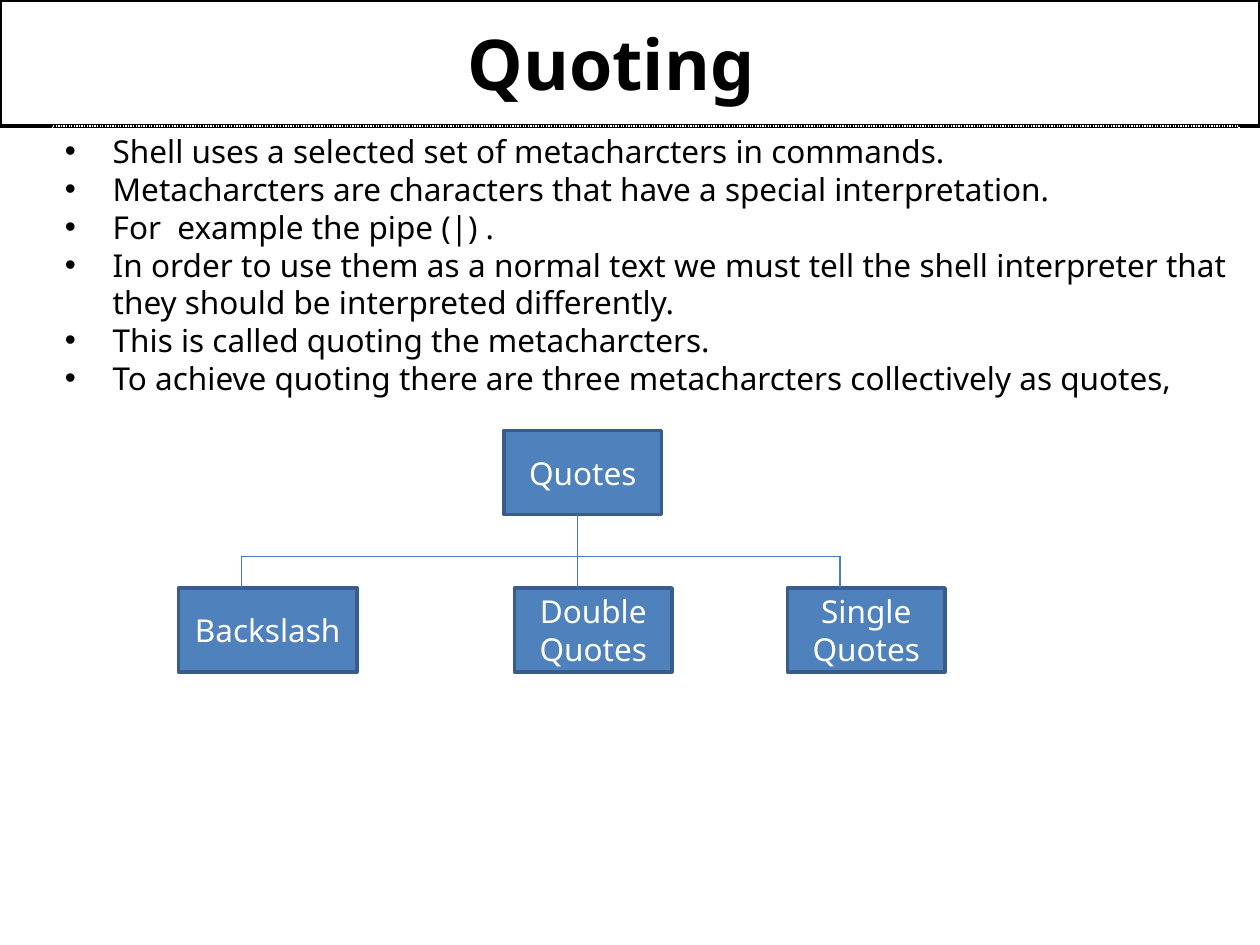
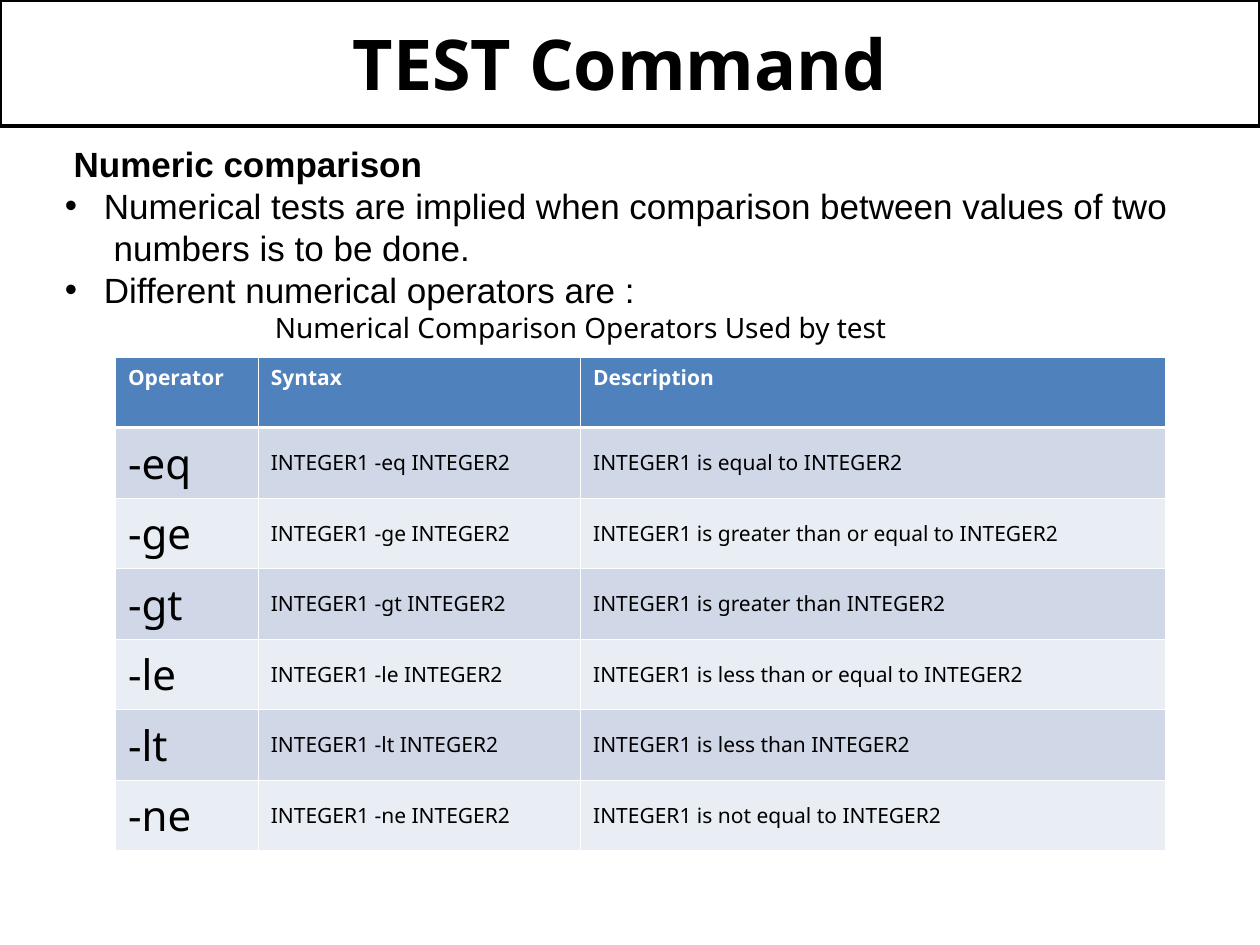
from lxml.etree import SubElement as Sub
from pptx import Presentation
from pptx.dml.color import RGBColor
from pptx.enum.dml import MSO_LINE as Dash
from pptx.enum.shapes import MSO_CONNECTOR as Conn, MSO_SHAPE as Shape
from pptx.enum.text import MSO_ANCHOR as Anchor, PP_ALIGN as Align
from pptx.oxml.ns import qn
from pptx.util import Inches, Pt

BLACK = RGBColor(0x00, 0x00, 0x00)
WHITE = RGBColor(0xFF, 0xFF, 0xFF)
BLUE = RGBColor(0x4F, 0x81, 0xBD)
EDGE = RGBColor(0x38, 0x5D, 0x8A)
LINK = RGBColor(0x4A, 0x7E, 0xBB)
DARK = RGBColor(0xD0, 0xD8, 0xE8)
PALE = RGBColor(0xE9, 0xED, 0xF4)
SANS, ARIAL = "Noto Sans", "Arial"
WIDE, HIGH = 120, 90

QUOTING = [
    "Shell uses a selected set of metacharcters in commands.",
    "Metacharcters are characters that have a special interpretation.",
    "For  example the pipe (|) .",
    "In order to use them as a normal text we must tell the shell interpreter "
    "that they should be interpreted differently.",
    "This is called quoting the metacharcters.",
    "To achieve quoting there are three metacharcters collectively as quotes,",
]
TESTS = [
    "Numerical tests are implied when comparison between values of two\v numbers is to be done.",
    "Different numerical operators are :",
]
NODES = [
    ("Quotes", 48, 41, 15),
    ("Double Quotes", 49, 56, 15),
    ("Backslash", 17, 56, 17),
    ("Single Quotes", 75, 56, 15),
]
LINKS = [
    (55, 49, 55, 56),
    (23, 56, 23, 53),
    (23, 53, 55, 53),
    (55, 53, 80, 53),
    (80, 53, 80, 56),
]
HEADS = ("Operator", "Syntax", "Description")
COLS = (13.6, 30.7, 55.7)
TERMS = {
    "-eq": "equal to",
    "-ge": "greater than or equal to",
    "-gt": "greater than",
    "-le": "less than or equal to",
    "-lt": "less than",
    "-ne": "not equal to",
}


def unit(num):
    """Turn grid steps, twelve to the inch, into a length."""
    return Inches(num / 12)


def style(para, size, color=BLACK, face=SANS, bold=False):
    """Format every run of a paragraph."""
    for run in para.runs:
        font = run.font
        font.size, font.name, font.bold = Pt(size), face, bold
        font.color.rgb = color


def indent(para, left, hang=0):
    """Set the left margin in inches, with a bullet if it hangs."""
    props = para._p.get_or_add_pPr()
    props.set("marL", str(Inches(left)))
    props.set("indent", str(-Inches(hang)))
    if hang:
        tint = Sub(Sub(props, qn("a:buClr")), qn("a:srgbClr"))
        tint.set("val", str(BLACK))
        Sub(props, qn("a:buFont")).set("typeface", ARIAL)
        Sub(props, qn("a:buChar")).set("char", "•")


def block(slide, box, fill, edge, width):
    """Draw a rectangle on the grid and return it."""
    shape = slide.shapes.add_shape(Shape.RECTANGLE, *map(unit, box))
    shape.shadow.inherit = False
    if fill is None:
        shape.fill.background()
    else:
        shape.fill.solid()
        shape.fill.fore_color.rgb = fill
    shape.line.color.rgb = edge
    shape.line.width = Pt(width)
    shape.text_frame.word_wrap = True
    return shape


def title(slide, text, shift):
    """Draw the title band, its text moved left by a shift in inches."""
    frame = block(slide, (0, 0, WIDE, 12), WHITE, BLACK, 2).text_frame
    frame.margin_right = Inches(0.1 + 2 * shift)
    frame.vertical_anchor = Anchor.MIDDLE
    frame.text = text
    para = frame.paragraphs[0]
    para.alignment = Align.CENTER
    style(para, 40, bold=True)


def panel(slide, box, lines, size, face, hang, align, head=None):
    """Fill a dotted box with an optional heading and bullets."""
    shape = block(slide, box, None, WHITE, 0.75)
    shape.line.dash_style = Dash.ROUND_DOT
    frame = shape.text_frame
    frame.vertical_anchor = Anchor.TOP
    frame.text = "\n".join(([head] if head else []) + lines)
    for num, para in enumerate(frame.paragraphs):
        top = head and num == 0
        indent(para, *((0.07,) if top else (hang, hang)))
        para.alignment = align
        style(para, size, face=face, bold=bool(top))


def tree(slide, left, top):
    """Draw the tree of quote types from its top left corner."""
    for text, col, row, width in NODES:
        box = left + col - 17, top + row - 41, width, 8
        frame = block(slide, box, BLUE, EDGE, 2).text_frame
        frame.vertical_anchor = Anchor.MIDDLE
        frame.text = text
        para = frame.paragraphs[0]
        para.alignment = Align.CENTER
        style(para, 18, WHITE)
    for start, rise, end, fall in LINKS:
        ends = left + start - 17, top + rise - 41, left + end - 17, top + fall - 41
        line = slide.shapes.add_connector(Conn.STRAIGHT, *map(unit, ends))
        line.line.color.rgb = LINK
        line.line.width = Pt(0.75)
        Sub(line._element.spPr, qn("a:effectLst"))


def border(cell, row):
    """Rule a cell in white, heavier under the head row."""
    props = cell._tc.get_or_add_tcPr()
    heavy = {0: "B", 1: "T"}.get(row)
    for num, side in enumerate("LRTB"):
        edge = props.makeelement(qn(f"a:ln{side}"), {})
        edge.set("w", str(Pt(1.47 if side == heavy else 0.45)))
        tint = Sub(Sub(edge, qn("a:solidFill")), qn("a:srgbClr"))
        tint.set("val", str(WHITE))
        props.insert(num, edge)


def grid(slide, box):
    """Draw the table of operators inside a box."""
    rows = [HEADS] + [
        (key, f"INTEGER1 {key} INTEGER2", f"INTEGER1 is {term} INTEGER2")
        for key, term in TERMS.items()
    ]
    table = slide.shapes.add_table(len(rows), len(COLS), *map(unit, box)).table
    for col, share in zip(table.columns, COLS):
        col.width = unit(box[2] * share / 100)
    for row, texts in enumerate(rows):
        table.rows[row].height = unit(box[3] / len(rows))
        for col, text in enumerate(texts):
            cell = table.cell(row, col)
            cell.text = text
            cell.vertical_anchor = Anchor.MIDDLE if row else Anchor.TOP
            cell.fill.solid()
            cell.fill.fore_color.rgb = (DARK if row % 2 else PALE) if row else BLUE
            border(cell, row)
            size = 24 if row and col == 0 else 12
            style(cell.text_frame.paragraphs[0], size, BLACK if row else WHITE, bold=not row)


def label(slide, box, text):
    """Write the table's caption inside a box."""
    frame = slide.shapes.add_textbox(*map(unit, box)).text_frame
    frame.word_wrap = True
    frame.text = text
    style(frame.paragraphs[0], 16)


def main():
    """Build both slides and save them."""
    deck = Presentation()
    deck.slide_width, deck.slide_height = unit(WIDE), unit(HIGH)
    blank = deck.slide_layouts[6]

    slide = deck.slides.add_slide(blank)
    title(slide, "Quoting", 0.15)
    panel(slide, (5, 12, 113, 33.6), QUOTING, 18, SANS, 0.38, Align.JUSTIFY)
    tree(slide, 17, 41)

    slide = deck.slides.add_slide(blank)
    title(slide, "TEST Command", 0.08)
    panel(slide, (5, 13, 113, 25.2), TESTS, 20, ARIAL, 0.31, Align.LEFT, "Numeric comparison")
    grid(slide, (11, 34, 100, 47))
    label(slide, (25, 29, 67, 4.4), "Numerical Comparison Operators Used by test")

    deck.save("out.pptx")


if __name__ == "__main__":
    main()
